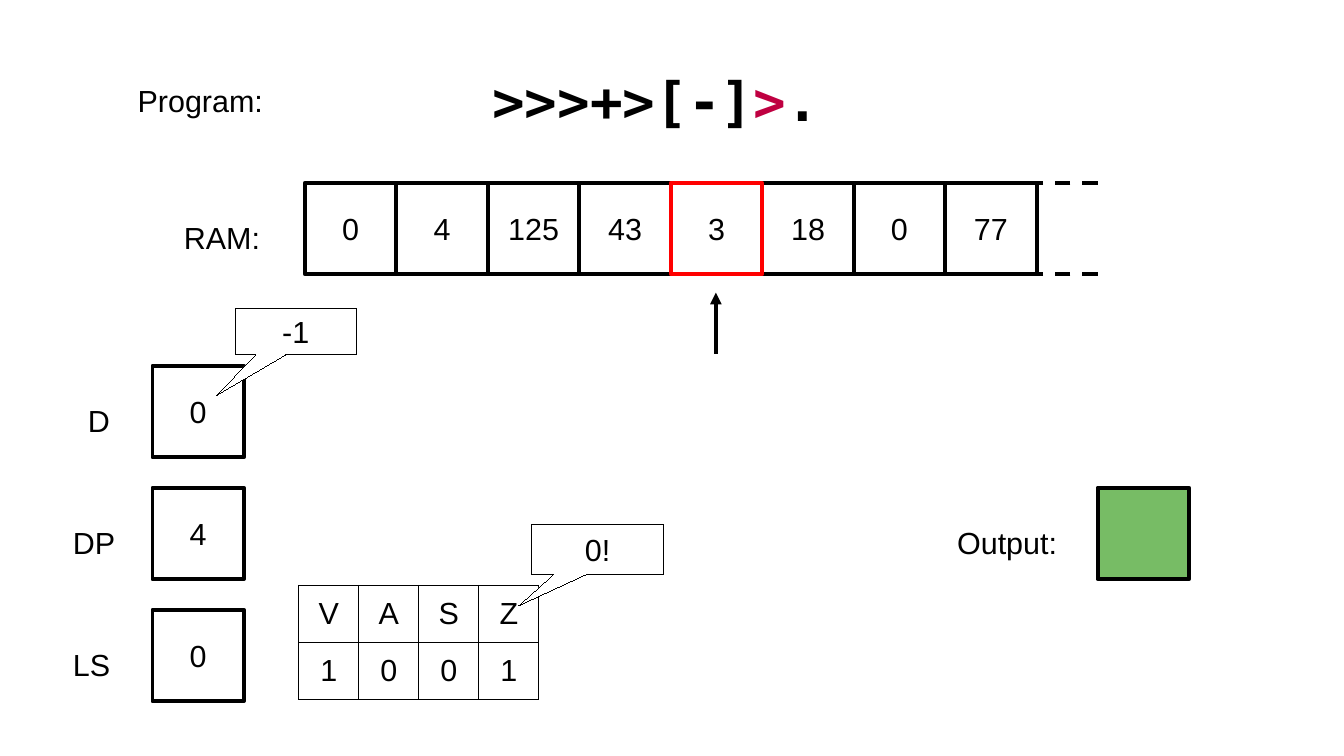
"""Builds a slide showing one step of a tape machine: program, RAM, registers, flags and output."""
from lxml.etree import SubElement
from pptx import Presentation
from pptx.dml.color import RGBColor
from pptx.enum.dml import MSO_LINE
from pptx.enum.shapes import MSO_CONNECTOR, MSO_SHAPE
from pptx.enum.text import MSO_ANCHOR, PP_ALIGN
from pptx.oxml.ns import qn
from pptx.util import Pt

PX = 9144
BLACK = RGBColor(0x00, 0x00, 0x00)
WHITE = RGBColor(0xFF, 0xFF, 0xFF)
RED = RGBColor(0xFF, 0x00, 0x00)
CRIMSON = RGBColor(0xBF, 0x00, 0x41)
GREEN = RGBColor(0x77, 0xBC, 0x65)
STROKE = Pt(2.3)
HAIRLINE = Pt(0.01)
CELL = 75
RAM_LEFT, RAM_TOP = 250, 150
POINTER = 4


def write(frame, text, align=PP_ALIGN.CENTER, anchor=MSO_ANCHOR.MIDDLE):
    frame.vertical_anchor = anchor
    paragraph = frame.paragraphs[0]
    paragraph.text = text
    paragraph.alignment = align
    paragraph.font.name = "Arial"
    paragraph.font.size = Pt(18)
    paragraph.font.color.rgb = BLACK


def add_box(kind, left, top, width, height, text, stroke=STROKE, color=BLACK, fill=None):
    box = slide.shapes.add_shape(kind, left * PX, top * PX, width * PX, height * PX)
    box.shadow.inherit = False
    if fill is None:
        box.fill.background()
    else:
        box.fill.solid()
        box.fill.fore_color.rgb = fill
    box.line.color.rgb = color
    box.line.width = stroke
    if text:
        write(box.text_frame, text)
    return box


prs = Presentation()
prs.slide_width, prs.slide_height = 1102 * PX, 620 * PX
slide = prs.slides.add_slide(prs.slide_layouts[6])

labels = [
    ("Program:", 103, 62, 135, PP_ALIGN.LEFT),
    ("RAM:", 141, 175, 100, PP_ALIGN.LEFT),
    ("D", 50, 325, 50, PP_ALIGN.RIGHT),
    ("DP", 50, 425, 70, PP_ALIGN.LEFT),
    ("LS", 50, 525, 70, PP_ALIGN.LEFT),
    ("Output:", 775, 425, 115, PP_ALIGN.LEFT),
]
for text, left, top, width, align in labels:
    label = slide.shapes.add_textbox(left * PX, top * PX, width * PX, 38 * PX)
    label.text_frame.word_wrap = True
    write(label.text_frame, text, align, MSO_ANCHOR.TOP)

program = slide.shapes.add_textbox(225 * PX, 50 * PX, 625 * PX, 62 * PX)
program.text_frame.word_wrap = True
code = program.text_frame.paragraphs[0]
code.alignment = PP_ALIGN.CENTER
code.font.name = "DejaVu Sans Mono"
code.font.size = Pt(32)
code.font.bold = True
for text, color in [(">>>+>[-]", BLACK), (">", CRIMSON), (".", BLACK)]:
    instruction = code.add_run()
    instruction.text = text
    instruction.font.color.rgb = color

ram = list(enumerate(["0", "4", "125", "43", "3", "18", "0", "77"]))
for index, value in sorted(ram, key=lambda item: item[0] == POINTER):
    color = RED if index == POINTER else BLACK
    add_box(MSO_SHAPE.RECTANGLE, RAM_LEFT + index * CELL, RAM_TOP, CELL, CELL, value, color=color)

for row, value in enumerate(["0", "4", "0"]):
    add_box(MSO_SHAPE.RECTANGLE, 125, 300 + row * 100, CELL, CELL, value)
add_box(MSO_SHAPE.RECTANGLE, 900, 400, CELL, CELL, "", fill=GREEN)

ram_right = RAM_LEFT + len(ram) * CELL
lines = [
    (900, RAM_TOP, ram_right, RAM_TOP, True),
    (900, RAM_TOP + CELL, ram_right, RAM_TOP + CELL, True),
    (587, 290, 587, 240, False),
]
for x1, y1, x2, y2, dashed in lines:
    line = slide.shapes.add_connector(MSO_CONNECTOR.STRAIGHT, x1 * PX, y1 * PX, x2 * PX, y2 * PX)
    line.line.color.rgb = BLACK
    line.line.width = STROKE
    properties = line.element.spPr
    if dashed:
        line.line.dash_style = MSO_LINE.DASH
    else:
        SubElement(properties.find(qn("a:ln")), qn("a:tailEnd"), type="triangle")
    SubElement(properties, qn("a:effectLst"))

flag_rows = ["VASZ", "1001"]
flags = slide.shapes.add_table(2, 4, 245 * PX, 480 * PX, 197 * PX, 94 * PX).table
flags.first_row = False
flags.horz_banding = False
for row, values in enumerate(flag_rows):
    for column, value in enumerate(values):
        cell = flags.cell(row, column)
        cell.margin_left = cell.margin_right = 4 * PX
        cell.vertical_anchor = MSO_ANCHOR.MIDDLE
        write(cell.text_frame, value)
        properties = cell._tc.get_or_add_tcPr()
        for side in ("a:lnL", "a:lnR", "a:lnT", "a:lnB"):
            border = SubElement(properties, qn(side), w=str(Pt(0.57)))
            solid = SubElement(border, qn("a:solidFill"))
            SubElement(solid, qn("a:srgbClr"), val=str(BLACK))
        cell.fill.background()

callouts = [
    ("-1", 193, 253, 99, 38, -0.66, 1.38),
    ("0!", 436, 430, 108, 41, -0.6, 1.13),
]
for text, left, top, width, height, tip_x, tip_y in callouts:
    callout = add_box(MSO_SHAPE.RECTANGULAR_CALLOUT, left, top, width, height, text, HAIRLINE, fill=WHITE)
    callout.adjustments[0] = tip_x
    callout.adjustments[1] = tip_y

prs.save("out.pptx")
